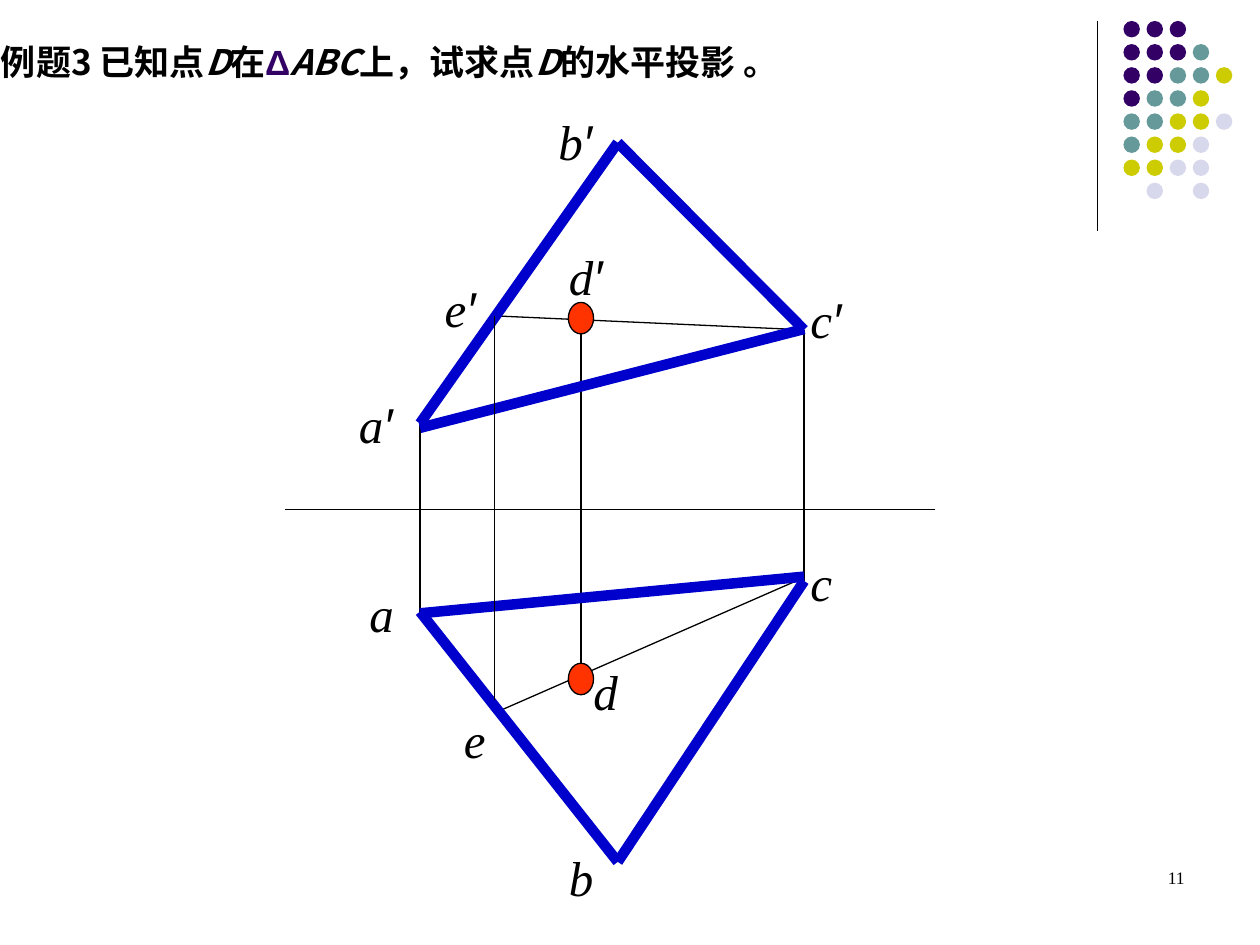
from lxml import etree
from pptx import Presentation
from pptx import util as u
from pptx.dml.color import RGBColor
from pptx.enum import shapes, text
from pptx.oxml.ns import qn

BLACK = RGBColor(0x00, 0x00, 0x00)
BLUE = RGBColor(0x00, 0x00, 0xCC)
RED = RGBColor(0xFF, 0x33, 0x00)
PURPLE = RGBColor(0x33, 0x00, 0x66)
TEAL = RGBColor(0x66, 0x99, 0x99)
LIME = RGBColor(0xCC, 0xCC, 0x00)
PALE = RGBColor(0xD8, 0xD8, 0xEC)

SERIF, SANS, HAN = "Times New Roman", "Arial", "Noto Sans CJK SC"


class Pen:
    thin = 0.75
    thick = 6
    label = 28

    def __init__(self, slide):
        self.shapes = slide.shapes

    def line(self, start, end, color=BLACK, width=thin):
        ends = [u.Pt(v) for v in (*start, *end)]
        line = self.shapes.add_connector(shapes.MSO_CONNECTOR.STRAIGHT, *ends)
        line.line.color.rgb = color
        line.line.width = u.Pt(width)
        etree.SubElement(line._element.spPr, qn("a:effectLst"))

    def edge(self, start, end):
        self.line(start, end, BLUE, self.thick)

    def dot(self, left, top, width, height, color, border=False):
        box = [u.Pt(v) for v in (left, top, width, height)]
        dot = self.shapes.add_shape(shapes.MSO_SHAPE.OVAL, *box)
        dot.shadow.inherit = False
        dot.fill.solid()
        dot.fill.fore_color.rgb = color
        if border:
            dot.line.color.rgb = BLACK
            dot.line.width = u.Pt(self.thin)
        else:
            dot.line.fill.background()

    def words(self, box, runs, size, top=3.6, bold=False):
        frame = self.shapes.add_textbox(*[u.Pt(v) for v in box]).text_frame
        frame.word_wrap = True
        frame.margin_top = u.Pt(top)
        frame.margin_bottom = 0
        para = frame.paragraphs[0]
        for part, face, color, slant in runs:
            run = para.add_run()
            run.text = part
            font = run.font
            font.name, font.size = face, u.Pt(size)
            font.bold, font.italic = bold, slant
            font.color.rgb = color
            east = etree.SubElement(run._r.get_or_add_rPr(), qn("a:ea"))
            east.set("typeface", face)
        return para

    def tag(self, left, top, name):
        runs = [(name[0], SERIF, BLACK, True)]
        if name[1:]:
            runs.append((name[1:], SANS, BLACK, True))
        self.words((left, top, 49.5, 41), runs, self.label, top=6.5)


def main():
    deck = Presentation()
    deck.slide_width, deck.slide_height = u.Pt(720), u.Pt(540)
    pen = Pen(deck.slides.add_slide(deck.slide_layouts[6]))

    pen.line((627, 12), (627, 132))
    tints = {"P": PURPLE, "T": TEAL, "L": LIME, "W": PALE}
    grid = ["PPP", "PPPT", "PPTTL", "PTTL", "TTLLW", "TLLW", "LLWW", " W W"]
    step = 13.2
    for row, marks in enumerate(grid):
        for col, mark in enumerate(marks):
            if mark in tints:
                pen.dot(642 + col * step, 12 + row * step, 9.4, 9.4, tints[mark])

    ax, bx, cx, dx, ex = 240, 353, 459.5, 332, 282.5
    a_up, b_up, c_up = (ax, 242), (bx, 81.5), (cx, 188.5)
    a_low, b_low, c_low = (ax, 349.5), (bx, 492.5), (cx, 332)
    e_up, e_low = (ex, 180.5), (ex, 407.5)

    pen.line(e_low, (cx, 330))
    pen.line(c_up, e_up)
    pen.line((dx, 181), (dx, 386))
    pen.line(a_up, a_low)
    pen.line(c_up, c_low)
    pen.line((534.5, 291), (163, 291))

    pen.edge(a_up, b_up)
    pen.edge(b_up, c_up)
    pen.edge((ax, 244.5), (cx, 188))
    pen.edge(b_low, c_low)
    pen.edge(a_low, b_low)
    pen.edge((ax, 350.5), (cx, 329.5))
    pen.line(e_up, (ex, 400))

    for top in (172.8, 379):
        pen.dot(dx - 7.2, top, 14.4, 18, RED, border=True)

    tags = [
        (198, 219, "a′"), (312, 57, "b′"), (456, 159, "c′"),
        (318, 134.5, "d′"), (247, 152.5, "e′"),
        (204, 327, "a"), (318, 478, "b"), (456, 309, "c"),
        (332, 371.5, "d"), (258, 399, "e"),
    ]
    for left, top, name in tags:
        pen.tag(left, top, name)

    title = [
        ("例题3 已知点", HAN, BLACK, False),
        ("D", HAN, BLACK, True),
        ("在", HAN, BLACK, False),
        ("Δ", SANS, PURPLE, False),
        ("ABC", HAN, BLACK, True),
        ("上，试求点", HAN, BLACK, False),
        ("D", HAN, BLACK, True),
        ("的水平投影 。", HAN, BLACK, False),
    ]
    para = pen.words((-6.5, 17.5, 490, 31.5), title, 20, top=5.5, bold=True)
    para.line_spacing = u.Pt(24)

    page = [("11", SERIF, BLACK, False)]
    para = pen.words((516, 492, 168, 36), page, 10)
    para.alignment = text.PP_ALIGN.RIGHT

    deck.save("out.pptx")


if __name__ == "__main__":
    main()
